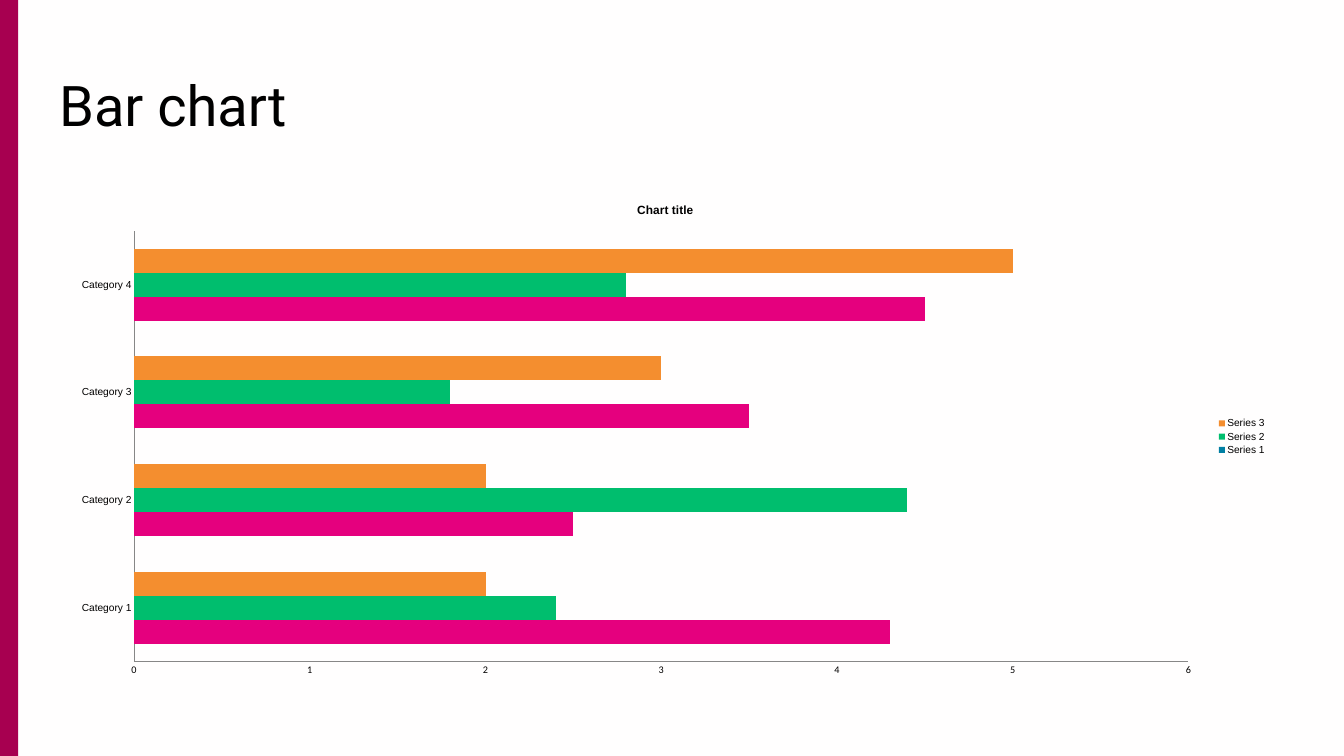
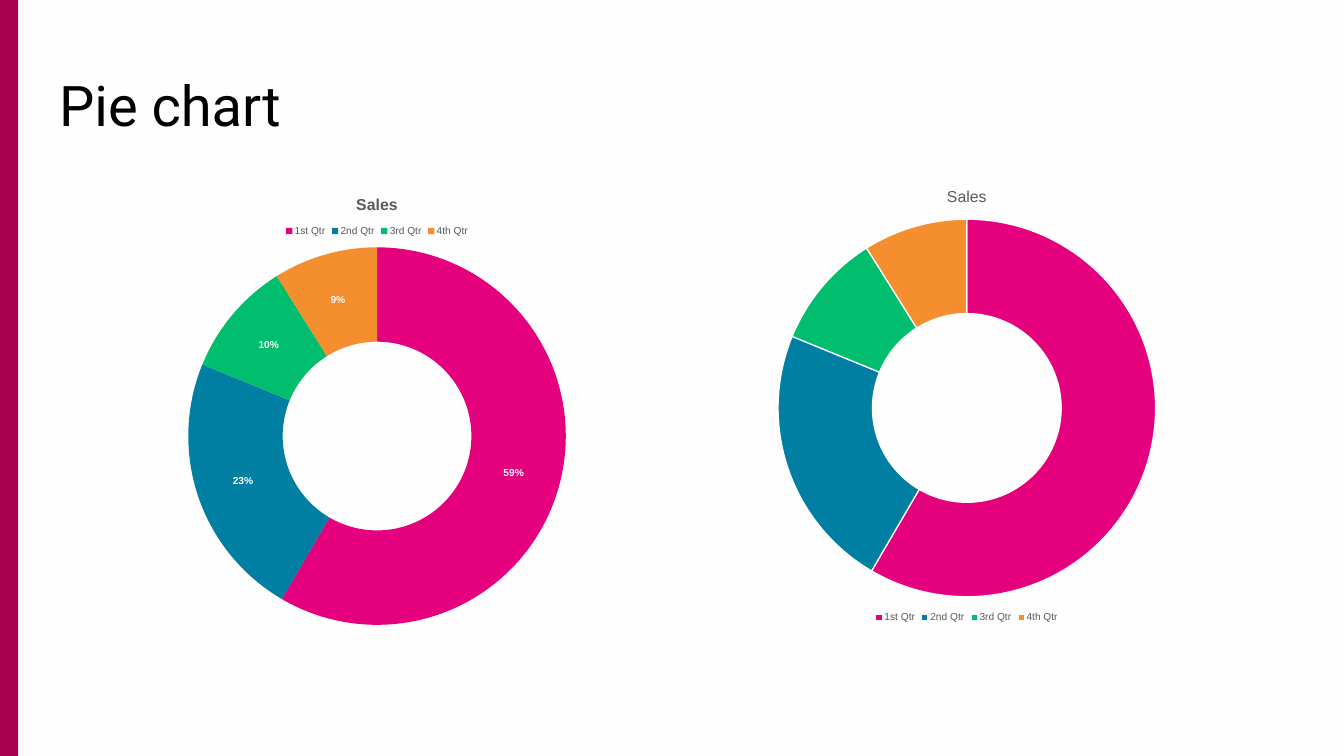
from pptx import Presentation
from pptx.chart.data import CategoryChartData
from pptx.dml.color import RGBColor
from pptx.enum.chart import XL_CHART_TYPE, XL_LEGEND_POSITION, XL_TICK_MARK
from pptx.enum.shapes import MSO_SHAPE
from pptx.enum.text import MSO_ANCHOR
from pptx.util import Pt

BAR, DOUGHNUT = XL_CHART_TYPE.BAR_CLUSTERED, XL_CHART_TYPE.DOUGHNUT
RIGHT, TOP, BOTTOM = XL_LEGEND_POSITION.RIGHT, XL_LEGEND_POSITION.TOP, XL_LEGEND_POSITION.BOTTOM
NO_TICK = XL_TICK_MARK.NONE
RECTANGLE = MSO_SHAPE.RECTANGLE
ANCHOR_TOP = MSO_ANCHOR.TOP

SLIDE_WIDTH, SLIDE_HEIGHT = 1583.3, 890.6
BAND_WIDTH = 21.5
TITLE_BOX = (67.7, 81.4, 1077.8, 79.9)
TITLE_INSET = 2

BLACK, WHITE, GRAY, AXIS_GRAY = "000000", "FFFEFE", "595959", "878787"
CRIMSON, PINK, BLUE, GREEN, ORANGE = "A70050", "E5007E", "007FA3", "00BE6E", "F48E2F"
QUARTER_COLORS = [PINK, BLUE, GREEN, ORANGE]

TITLE_FONT = {"name": "Roboto", "size": 66, "color": BLACK}
AXIS_FONT = {"name": "Arial", "size": 12, "color": BLACK}
VALUE_FONT = {**AXIS_FONT, "name": "Calibri"}
SALES_FONT = {"name": "Arial", "size": 18.6, "color": GRAY, "bold": False}
LABEL_FONT = {"name": "Arial", "size": 12, "color": WHITE, "bold": True}

BAR_CHART = {
    "type": BAR,
    "box": (67.7, 220.3, 1432.1, 588.2),
    "title": "Chart title",
    "title_font": {"name": "Arial", "size": 14, "color": BLACK, "bold": True},
    "font": {"name": "Calibri", "size": 18, "color": BLACK},
    "legend": RIGHT,
    "legend_font": AXIS_FONT,
    "categories": ["Category 1", "Category 2", "Category 3", "Category 4"],
    "series": [
        ("Series 1", [4.3, 2.5, 3.5, 4.5], BLUE, [PINK] * 4),
        ("Series 2", [2.4, 4.4, 1.8, 2.8], GREEN, []),
        ("Series 3", [2, 2, 3, 5], ORANGE, []),
    ],
}
SALES_CHART = {
    "type": DOUGHNUT,
    "title": "Sales",
    "font": {"name": "Arial", "size": 10, "color": BLACK},
    "legend_font": {"name": "Arial", "size": 12, "color": GRAY},
    "categories": ["1st Qtr", "2nd Qtr", "3rd Qtr", "4th Qtr"],
    "series": [("Sales", [59, 23, 10, 9], None, QUARTER_COLORS)],
}
LABELLED_SALES = {
    **SALES_CHART, "box": (73.4, 211, 741.6, 535), "legend": TOP, "hole": 50,
    "title_font": {**SALES_FONT, "bold": True}, "labels": LABEL_FONT,
}
OUTLINED_SALES = {
    **SALES_CHART, "box": (768.2, 201.6, 741.6, 535), "legend": BOTTOM, "hole": 75,
    "title_font": SALES_FONT, "outline": WHITE,
}
SLIDES = [
    ("Bar chart", [BAR_CHART]),
    ("Pie chart", [LABELLED_SALES, OUTLINED_SALES]),
]


def color(hex_value):
    return RGBColor.from_string(hex_value)


def points(values):
    return [Pt(value) for value in values]


def paint(fill, hex_value):
    fill.solid()
    fill.fore_color.rgb = color(hex_value)


def set_font(font, style):
    for name, value in style.items():
        if name == "color":
            font.color.rgb = color(value)
        else:
            setattr(font, name, Pt(value) if name == "size" else value)


def add_frame(slide, title):
    band = slide.shapes.add_shape(RECTANGLE, *points((0, 0, BAND_WIDTH, SLIDE_HEIGHT)))
    band.shadow.inherit = False
    paint(band.fill, CRIMSON)
    band.line.fill.background()
    text_frame = slide.shapes.add_textbox(*points(TITLE_BOX)).text_frame
    text_frame.word_wrap = True
    text_frame.vertical_anchor = ANCHOR_TOP
    for side in ("left", "top", "right", "bottom"):
        setattr(text_frame, f"margin_{side}", Pt(TITLE_INSET))
    text_frame.text = title
    set_font(text_frame.paragraphs[0].font, TITLE_FONT)


def style_series(series, fill_color, point_colors, outline):
    if fill_color:
        paint(series.format.fill, fill_color)
    for index, point_color in enumerate(point_colors):
        point_format = series.points[index].format
        paint(point_format.fill, point_color)
        if outline:
            point_format.line.color.rgb = color(outline)
            point_format.line.width = Pt(1.5)
        else:
            point_format.line.fill.background()


def style_bars(chart):
    chart.plots[0].gap_width = 150
    for series in chart.plots[0].series:
        series.invert_if_negative = False
    for axis, style in ((chart.category_axis, AXIS_FONT), (chart.value_axis, VALUE_FONT)):
        axis.has_major_gridlines = False
        axis.major_tick_mark = axis.minor_tick_mark = NO_TICK
        axis.format.line.color.rgb = color(AXIS_GRAY)
        set_font(axis.tick_labels.font, style)
    for name, value in {"minimum_scale": 0, "maximum_scale": 6, "major_unit": 1}.items():
        setattr(chart.value_axis, name, value)


def style_doughnut(chart, content):
    plot = chart.plots[0]
    plot.vary_by_categories = True
    plot.has_data_labels = False
    plot._element.xpath("c:holeSize")[0].set("val", str(content["hole"]))
    if "labels" in content:
        labels = plot.series[0].data_labels
        labels.show_value = True
        labels.show_percentage = False
        labels.number_format = '0"%"'
        labels.number_format_is_linked = False
        set_font(labels.font, content["labels"])


def add_chart(slide, content):
    data = CategoryChartData()
    data.categories = content["categories"]
    for name, values, *_ in content["series"]:
        data.add_series(name, values)
    chart = slide.shapes.add_chart(content["type"], *points(content["box"]), data).chart
    set_font(chart.font, content["font"])
    chart.has_title = True
    chart.chart_title.include_in_layout = False
    chart.chart_title.text_frame.text = content["title"]
    set_font(chart.chart_title.text_frame.paragraphs[0].runs[0].font, content["title_font"])
    chart.has_legend = True
    chart.legend.position = content["legend"]
    chart.legend.include_in_layout = False
    set_font(chart.legend.font, content["legend_font"])
    for series, (_, _, fill_color, point_colors) in zip(chart.plots[0].series, content["series"]):
        style_series(series, fill_color, point_colors, content.get("outline"))
    if content["type"] == BAR:
        style_bars(chart)
    else:
        style_doughnut(chart, content)


def main():
    presentation = Presentation()
    presentation.slide_width, presentation.slide_height = points((SLIDE_WIDTH, SLIDE_HEIGHT))
    paint(presentation.slide_master.background.fill, WHITE)
    for title, charts in SLIDES:
        slide = presentation.slides.add_slide(presentation.slide_layouts[6])
        add_frame(slide, title)
        for content in charts:
            add_chart(slide, content)
    presentation.save("out.pptx")


if __name__ == "__main__":
    main()
